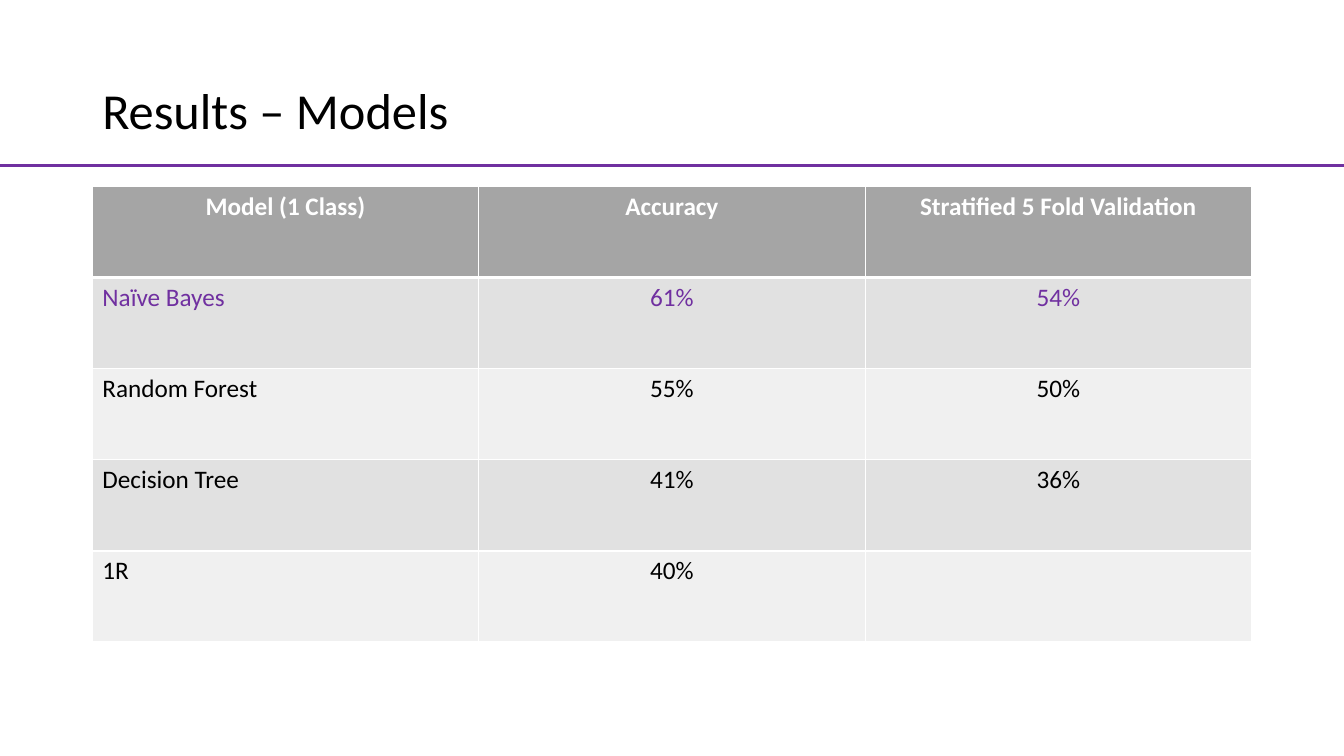
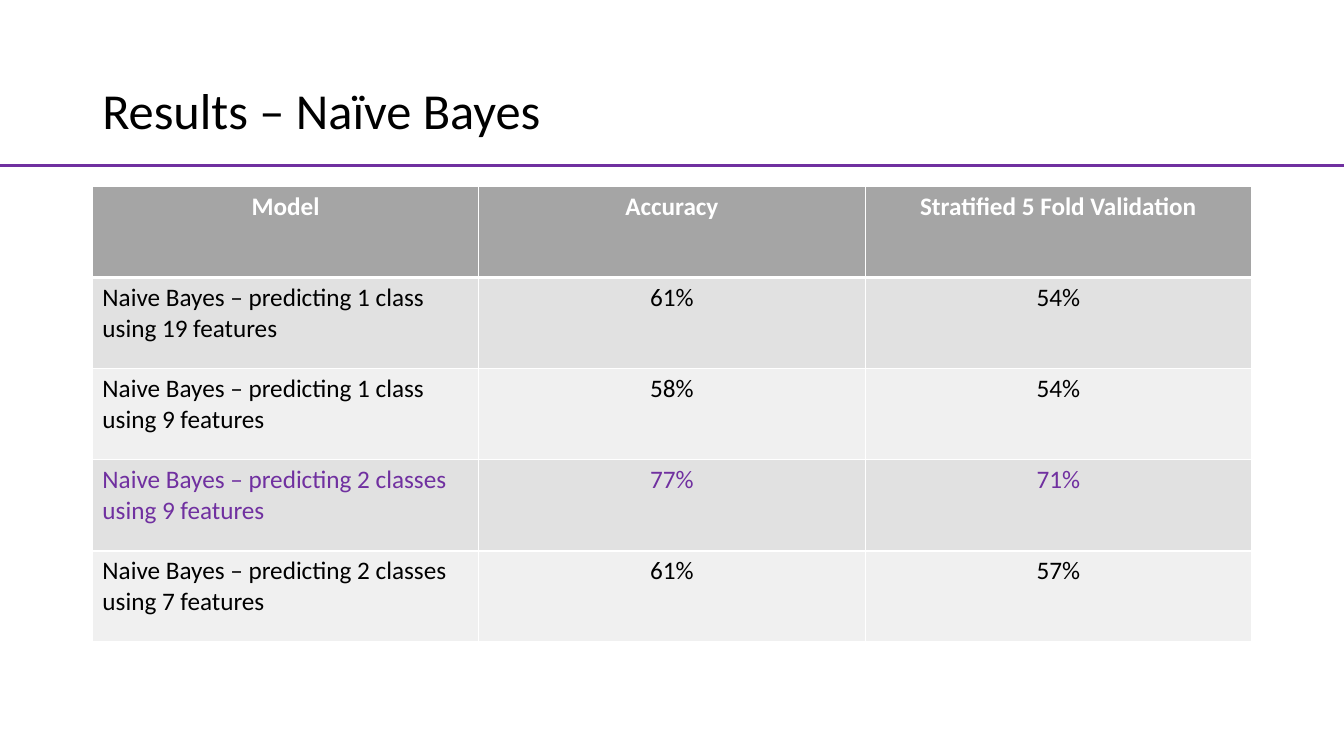
from lxml.etree import SubElement
from pptx import Presentation
from pptx.dml.color import RGBColor
from pptx.enum.shapes import MSO_CONNECTOR
from pptx.enum.text import MSO_ANCHOR, PP_ALIGN
from pptx.oxml.ns import qn
from pptx.util import Pt

COLORS = {
    "text": "000000",
    "white": "FFFFFF",
    "accent": "7030A0",
    "header": "A5A5A5",
    "band_dark": "E1E1E1",
    "band_light": "F0F0F0",
}
SLIDE_W, SLIDE_H = 960, 540
LEFT, CONTENT_W = 66, 828
TITLE_TOP, TITLE_H = 28.8, 104.4
RULE_Y = 118.2
TABLE_TOP, ROW_H = 133.2, 65.1

TITLE_FONT = {"name": "Calibri", "size": Pt(36), "bold": False}
HEADER_FONT = {"name": "Calibri", "size": Pt(18), "bold": True}
BODY_FONT = {**HEADER_FONT, "bold": False}

# Title, header row, body rows, index of the highlighted body row
SLIDES = [
    (
        "Results – Models",
        ["Model (1 Class)", "Accuracy", "Stratified 5 Fold Validation"],
        [
            ["Naïve Bayes", "61%", "54%"],
            ["Random Forest", "55%", "50%"],
            ["Decision Tree", "41%", "36%"],
            ["1R", "40%", ""],
        ],
        0,
    ),
    (
        "Results – Naïve Bayes",
        ["Model", "Accuracy", "Stratified 5 Fold Validation"],
        [
            ["Naive Bayes – predicting 1 class using 19 features", "61%", "54%"],
            ["Naive Bayes – predicting 1 class using 9 features", "58%", "54%"],
            ["Naive Bayes – predicting 2 classes using 9 features", "77%", "71%"],
            ["Naive Bayes – predicting 2 classes using 7 features", "61%", "57%"],
        ],
        2,
    ),
]


def rgb(name):
    return RGBColor.from_string(COLORS[name])


def write(p, text, font, color):
    r = p.add_run()
    r.text = text
    for key, value in font.items():
        setattr(r.font, key, value)
    r.font.color.rgb = rgb(color)


def add_title(s, text):
    box = s.shapes.add_textbox(Pt(LEFT), Pt(TITLE_TOP), Pt(CONTENT_W), Pt(TITLE_H))
    tf = box.text_frame
    tf.word_wrap = True
    tf.vertical_anchor = MSO_ANCHOR.MIDDLE
    p = tf.paragraphs[0]
    p.line_spacing = 0.9
    write(p, text, TITLE_FONT, "text")


def add_rule(s):
    line = s.shapes.add_connector(
        MSO_CONNECTOR.STRAIGHT, Pt(0), Pt(RULE_Y), Pt(SLIDE_W), Pt(RULE_Y)
    )
    line.line.color.rgb = rgb("accent")
    line.line.width = Pt(2.25)
    SubElement(line._element.spPr, qn("a:effectLst"))


def set_borders(cell, **widths):
    """Draw white borders; the schema wants them ahead of the cell's fill."""
    tcPr = cell._tc.get_or_add_tcPr()
    for side, width in widths.items():
        ln = SubElement(tcPr, qn(f"a:ln{side}"), w=str(Pt(width)))
        fill = SubElement(ln, qn("a:solidFill"))
        SubElement(fill, qn("a:srgbClr"), val=COLORS["white"])


def fill_row(table, row, texts, font, color, fill):
    is_header = row == 0
    for col, text in enumerate(texts):
        cell = table.cell(row, col)
        set_borders(cell, L=1, R=1, T=3 if row == 1 else 1, B=3 if is_header else 1)
        cell.fill.solid()
        cell.fill.fore_color.rgb = rgb(fill)
        p = cell.text_frame.paragraphs[0]
        p.alignment = PP_ALIGN.CENTER if is_header or col else PP_ALIGN.LEFT
        if text:
            write(p, text, font, color)


def add_results_table(s, header, rows, highlight):
    n_rows, n_cols = len(rows) + 1, len(header)
    table = s.shapes.add_table(
        n_rows, n_cols, Pt(LEFT), Pt(TABLE_TOP), Pt(CONTENT_W), Pt(ROW_H * n_rows)
    ).table
    table.horz_banding = False
    fill_row(table, 0, header, HEADER_FONT, "white", "header")
    for i, texts in enumerate(rows):
        color = "accent" if i == highlight else "text"
        fill = "band_light" if i % 2 else "band_dark"
        fill_row(table, i + 1, texts, BODY_FONT, color, fill)


def main():
    prs = Presentation()
    prs.slide_width, prs.slide_height = Pt(SLIDE_W), Pt(SLIDE_H)
    for title, header, rows, highlight in SLIDES:
        s = prs.slides.add_slide(prs.slide_layouts[6])
        add_title(s, title)
        add_results_table(s, header, rows, highlight)
        add_rule(s)
    prs.save("out.pptx")


if __name__ == "__main__":
    main()
